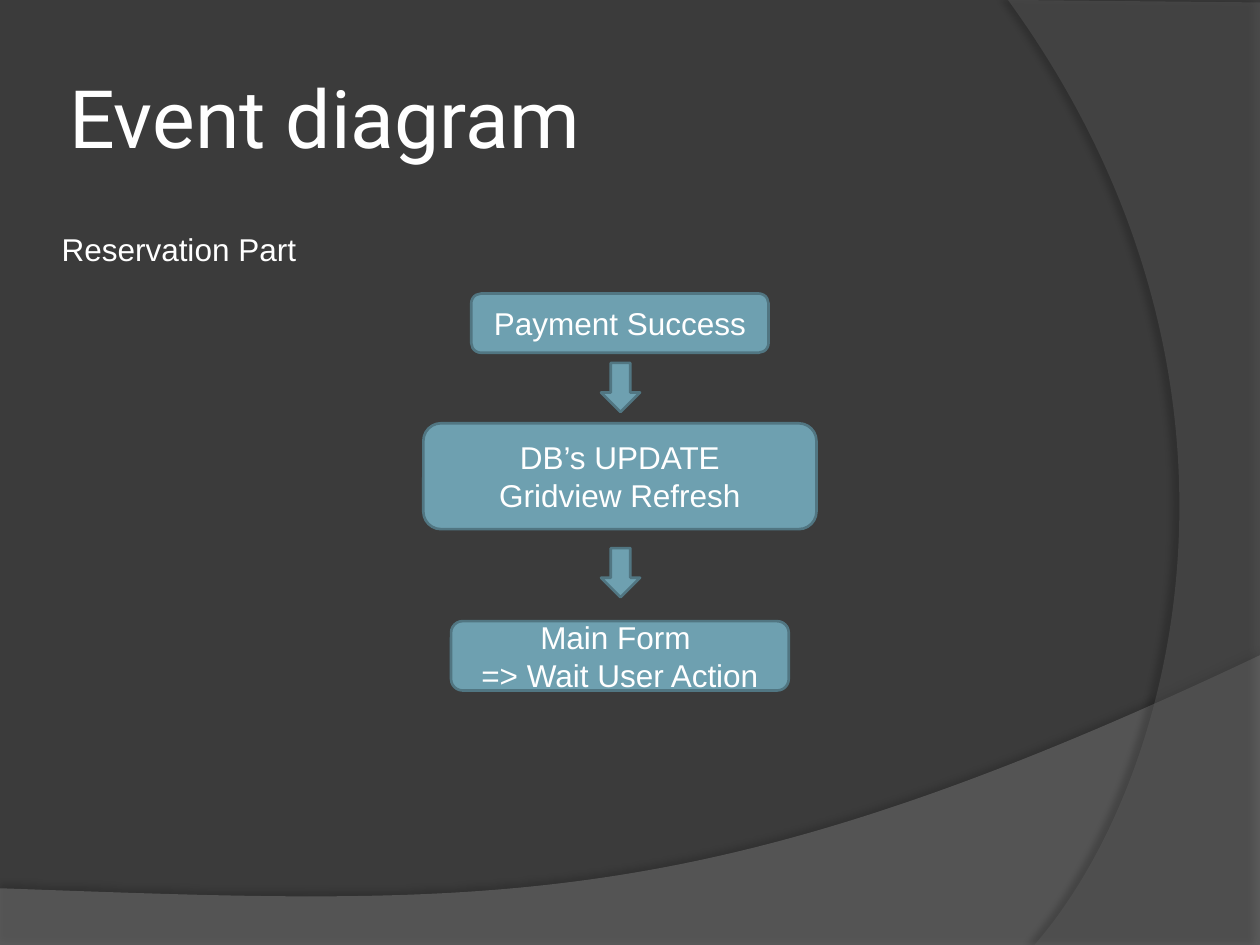
from dataclasses import dataclass

import pptx
import pptx.dml.color
import pptx.enum.shapes
import pptx.enum.text
import pptx.oxml
import pptx.oxml.ns
import pptx.util

Inches = pptx.util.Inches
Pt = pptx.util.Pt
Color = pptx.dml.color.RGBColor
Shapes = pptx.enum.shapes.MSO_SHAPE
Align = pptx.enum.text.PP_ALIGN
Anchor = pptx.enum.text.MSO_ANCHOR
Point = tuple[float, float]
NAMESPACE = pptx.oxml.ns.nsdecls("a")


@dataclass(frozen=True)
class Theme:
    background: str = "3B3B3B"
    text: str = "FFFFFF"
    accent: str = "6EA0B0"
    outline: str = "517682"
    shadow: str = "000000"
    title_font: str = "Roboto"
    body_font: str = "Arial"
    title_size: int = 46
    body_size: int = 18
    outline_width: float = 1.5


@dataclass(frozen=True)
class Wave:
    """Closed outline; a segment has one point if straight, three if curved."""
    start: Point
    segments: tuple[tuple[Point, ...], ...]
    color: str
    opacity: int
    shadow_opacity: int
    shadow_distance: float
    shadow_angle: int


@dataclass(frozen=True)
class Step:
    top: float
    width: float
    height: float
    lines: tuple[str, ...]


THEME = Theme()
FLOW_CENTER = 4.92
ARROW_LEFT, ARROW_WIDTH, ARROW_HEIGHT = 4.77, 0.31, 0.39
ARROW_TOPS = (2.88, 4.35)
STEPS = (
    Step(2.33, 2.36, 0.47, ("Payment Success",)),
    Step(3.36, 3.12, 0.84, ("DB’s UPDATE", "Gridview Refresh")),
    Step(4.93, 2.68, 0.55, ("Main Form ", "=> Wait User Action")),
)
WAVES = (
    Wave((0, 7.05),
         (((0, 7.51),), ((10, 7.51),), ((10, 5.2),), ((5.59, 7.29), (3.91, 7.19), (0, 7.05))),
         "7F7F7F", 45, 35, 3.5, 270),
    Wave((10, 0.02),
         (((10, 7.5),), ((8.21, 7.5),), ((9.35, 6.19), (10.18, 3), (8, 0)), ((10, 0.02),)),
         "5E5E5E", 40, 45, 4, 180),
)


def bend_segments(shape, wave: Wave) -> None:
    """Turn the straight lines of curved segments into Bezier curves."""
    lines = shape._element.findall(".//" + pptx.oxml.ns.qn("a:lnTo"))
    for line, segment in zip(lines, wave.segments):
        if len(segment) == 1:
            continue
        points = "".join(f'<a:pt x="{Inches(x) - shape.left}" y="{Inches(y) - shape.top}"/>'
                         for x, y in segment)
        curve = pptx.oxml.parse_xml(f"<a:cubicBezTo {NAMESPACE}>{points}</a:cubicBezTo>")
        line.getparent().replace(line, curve)


def draw_wave(shapes, wave: Wave) -> None:
    builder = shapes.build_freeform(*map(Inches, wave.start), scale=1.0)
    ends = [tuple(map(Inches, segment[-1])) for segment in wave.segments]
    builder.add_line_segments(ends, close=True)
    shape = builder.convert_to_shape()
    bend_segments(shape, wave)
    shape.fill.solid()
    shape.fill.fore_color.rgb = Color.from_string(wave.color)
    shape.line.fill.background()
    properties = shape._element.spPr
    fill_color = properties.find(".//" + pptx.oxml.ns.qn("a:srgbClr"))
    fill_color.append(pptx.oxml.parse_xml(f'<a:alpha {NAMESPACE} val="{wave.opacity * 1000}"/>'))
    properties.append(pptx.oxml.parse_xml(
        f'<a:effectLst {NAMESPACE}><a:outerShdw blurRad="{Pt(4)}" '
        f'dist="{Pt(wave.shadow_distance)}" dir="{wave.shadow_angle * 60000}" '
        f'algn="ctr" rotWithShape="0"><a:srgbClr val="{THEME.shadow}">'
        f'<a:alpha val="{wave.shadow_opacity * 1000}"/></a:srgbClr></a:outerShdw></a:effectLst>'))


def write_text(shape, lines: tuple[str, ...], font: str, size: int, align, frame_format: dict) -> None:
    frame = shape.text_frame
    for name, value in frame_format.items():
        setattr(frame, name, value)
    for index, line in enumerate(lines):
        para = frame.add_paragraph() if index else frame.paragraphs[0]
        para.alignment = align
        span = para.add_run()
        span.text = line
        for name, value in {"name": font, "size": Pt(size)}.items():
            setattr(span.font, name, value)
        span.font.color.rgb = Color.from_string(THEME.text)


def draw_block(shapes, kind, left: float, top: float, width: float, height: float):
    shape = shapes.add_shape(kind, Inches(left), Inches(top), Inches(width), Inches(height))
    shape.shadow.inherit = False
    shape.fill.solid()
    shape.fill.fore_color.rgb = Color.from_string(THEME.accent)
    shape.line.color.rgb = Color.from_string(THEME.outline)
    shape.line.width = Pt(THEME.outline_width)
    return shape


def draw_step(shapes, step: Step) -> None:
    box = draw_block(shapes, Shapes.ROUNDED_RECTANGLE, FLOW_CENTER - step.width / 2,
                     step.top, step.width, step.height)
    write_text(box, step.lines, THEME.body_font, THEME.body_size, Align.CENTER,
               {"vertical_anchor": Anchor.MIDDLE, "word_wrap": True})


def place_title(title) -> None:
    place = {"left": 0.5, "top": 0.3, "width": 8.17, "height": 1.25}
    for name, value in place.items():
        setattr(title, name, Inches(value))
    margins = {f"margin_{side}": Inches(0.05) for side in ("left", "top", "right", "bottom")}
    write_text(title, ("Event diagram",), THEME.title_font, THEME.title_size, Align.LEFT,
               {"vertical_anchor": Anchor.MIDDLE, "word_wrap": True, **margins})


def main() -> None:
    deck = pptx.Presentation()
    deck.slide_width, deck.slide_height = Inches(10), Inches(7.5)
    page = deck.slides.add_slide(deck.slide_layouts.get_by_name("Title Only"))
    page.background.fill.solid()
    page.background.fill.fore_color.rgb = Color.from_string(THEME.background)

    for wave in WAVES:
        draw_wave(page.shapes, wave)
    place_title(page.shapes.title)
    label = page.shapes.add_textbox(Inches(0.39), Inches(1.78), Inches(2.08), Inches(0.4))
    write_text(label, ("Reservation Part",), THEME.body_font, THEME.body_size, Align.LEFT,
               {"word_wrap": False, "auto_size": pptx.enum.text.MSO_AUTO_SIZE.SHAPE_TO_FIT_TEXT})

    first_step, *later_steps = STEPS
    draw_step(page.shapes, first_step)
    for top in ARROW_TOPS:
        draw_block(page.shapes, Shapes.DOWN_ARROW, ARROW_LEFT, top, ARROW_WIDTH, ARROW_HEIGHT)
    for step in later_steps:
        draw_step(page.shapes, step)
    deck.save("out.pptx")


if __name__ == "__main__":
    main()
